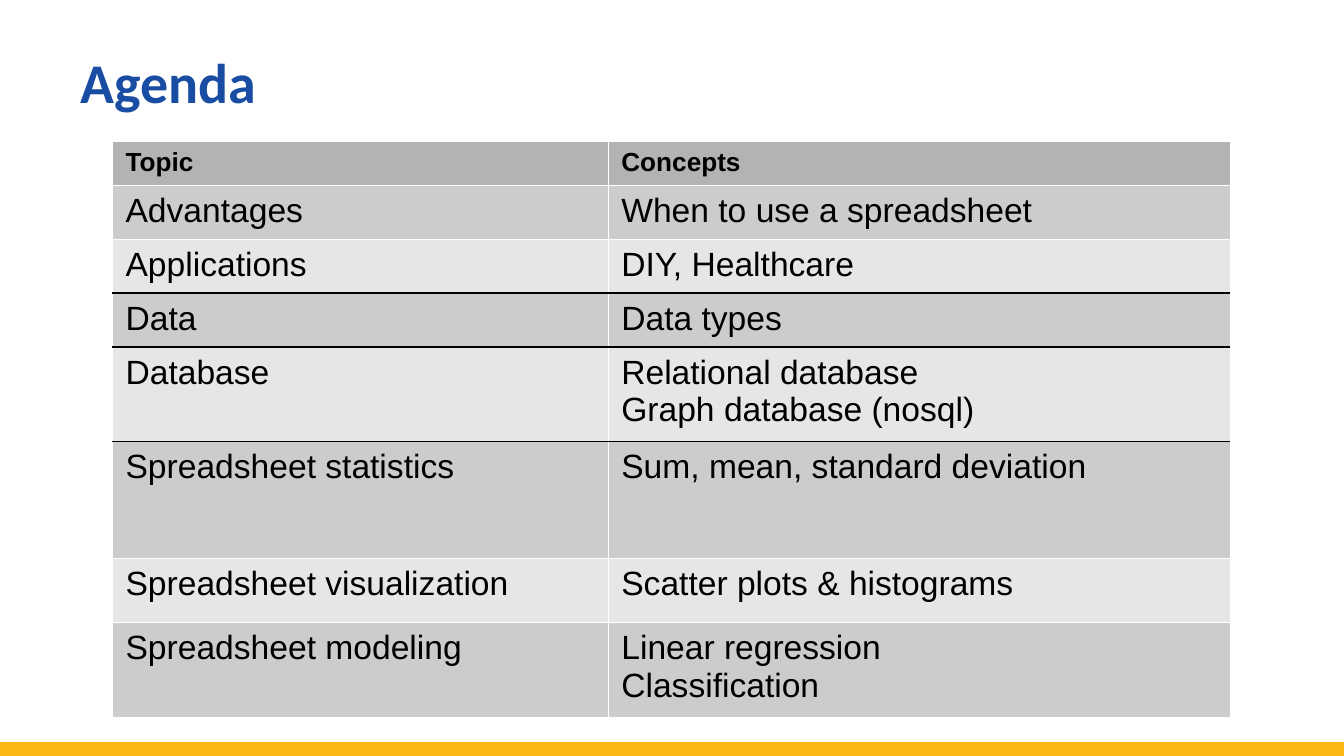
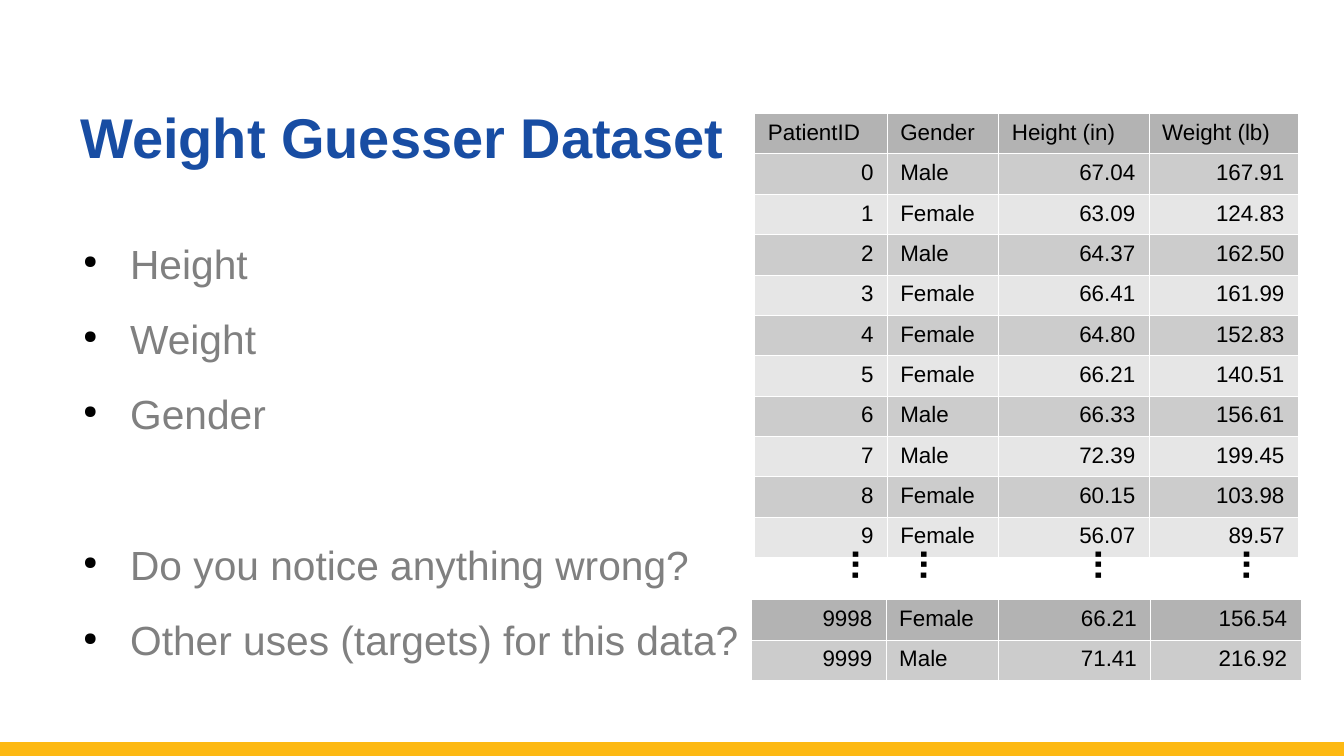
from lxml.etree import SubElement
from pptx import Presentation
from pptx.dml.color import RGBColor
from pptx.enum.shapes import MSO_CONNECTOR
from pptx.enum.text import MSO_ANCHOR, PP_ALIGN
from pptx.oxml.ns import qn
from pptx.util import Cm, Pt

BLUE = RGBColor(0x18, 0x4D, 0xA3)
GOLD = RGBColor(0xFD, 0xB9, 0x13)
GRAY = RGBColor(0x80, 0x80, 0x80)
BLACK = RGBColor(0, 0, 0)
WHITE = RGBColor(0xFF, 0xFF, 0xFF)
HEADER = RGBColor(0xB3, 0xB3, 0xB3)
BANDS = (RGBColor(0xE6, 0xE6, 0xE6), RGBColor(0xCC, 0xCC, 0xCC))

WIDTH, HEIGHT = 25.4, 14.29
FONT = "Arial"
HAIRLINE = 0.06

AGENDA = [
    ("Topic", "Concepts"),
    ("Advantages", "When to use a spreadsheet"),
    ("Applications", "DIY, Healthcare"),
    ("Data", "Data types"),
    ("Database", "Relational database\nGraph database (nosql)"),
    ("Spreadsheet statistics", "Sum, mean, standard deviation"),
    ("Spreadsheet visualization", "Scatter plots & histograms"),
    ("Spreadsheet modeling", "Linear regression\nClassification"),
]
AGENDA_HEIGHTS = (0.82, 0.98, 0.98, 0.98, 1.68, 2.21, 1.22, 1.68)
AGENDA_RULES = {2: 1, 3: 1, 4: 0.5}

FIRST_PATIENTS = [
    ("PatientID", "Gender", "Height (in)", "Weight (lb)"),
    ("0", "Male", "67.04", "167.91"),
    ("1", "Female", "63.09", "124.83"),
    ("2", "Male", "64.37", "162.50"),
    ("3", "Female", "66.41", "161.99"),
    ("4", "Female", "64.80", "152.83"),
    ("5", "Female", "66.21", "140.51"),
    ("6", "Male", "66.33", "156.61"),
    ("7", "Male", "72.39", "199.45"),
    ("8", "Female", "60.15", "103.98"),
    ("9", "Female", "56.07", "89.57"),
]
LAST_PATIENTS = [
    ("9998", "Female", "66.21", "156.54"),
    ("9999", "Male", "71.41", "216.92"),
]
PATIENT_ROW = 0.73

FEATURES = ("Height", "Weight", "Gender")
QUESTIONS = ("Do you notice anything wrong?", "Other uses (targets) for this data?")
ELLIPSIS_LEFTS = (15.88, 17.17, 20.47, 23.27)


def style_runs(paragraph, size, color, bold=False, font=FONT):
    """Give every run of a paragraph the same look."""
    for run in paragraph.runs:
        run.font.name = font
        run.font.size = Pt(size)
        run.font.bold = bold
        run.font.color.rgb = color


def add_text_frame(slide, left, top, width, height):
    """Add a wrapping text box and return its text frame."""
    box = slide.shapes.add_textbox(Cm(left), Cm(top), Cm(width), Cm(height))
    box.text_frame.word_wrap = True
    return box, box.text_frame


def add_titled_slide(deck, title, font, anchor):
    """Add a blank slide with the gold footer line and a title."""
    slide = deck.slides.add_slide(deck.slide_layouts[6])
    footer = slide.shapes.add_connector(
        MSO_CONNECTOR.STRAIGHT, Cm(0), Cm(14.17), Cm(WIDTH), Cm(14.17))
    footer.line.color.rgb = GOLD
    footer.line.width = Pt(8)
    SubElement(footer._element.spPr, qn("a:effectLst"))
    _, frame = add_text_frame(slide, 1.27, 0, 22.86, 3.33)
    frame.vertical_anchor = anchor
    heading = frame.paragraphs[0]
    heading.text = title
    heading.line_spacing = Pt(58)
    style_runs(heading, 30, BLUE, True, font)
    return slide


def set_border(cell, side, color, width):
    """Draw one border of a table cell."""
    edge = SubElement(cell._tc.get_or_add_tcPr(), qn(f"a:ln{side}"), w=str(Pt(width)))
    fill = SubElement(edge, qn("a:solidFill"))
    SubElement(fill, qn("a:srgbClr"), val=str(color))


def add_grid(slide, left, top, widths, heights, rows, size,
             bold_header=False, rules=None):
    """Add a banded table with white borders and black rules below chosen rows."""
    rules = rules or {}
    grid = slide.shapes.add_table(
        len(rows), len(widths), Cm(left), Cm(top),
        Cm(sum(widths)), Cm(sum(heights))).table
    for column, width in zip(grid.columns, widths):
        column.width = Cm(width)
    for r, (texts, height) in enumerate(zip(rows, heights)):
        grid.rows[r].height = Cm(height)
        edges = {"L": None, "R": None, "T": rules.get(r - 1), "B": rules.get(r)}
        for c, text in enumerate(texts):
            cell = grid.cell(r, c)
            for side, rule in edges.items():
                set_border(cell, side, BLACK if rule else WHITE, rule or HAIRLINE)
            cell.fill.solid()
            cell.fill.fore_color.rgb = BANDS[r % 2] if r else HEADER
            cell.text = text
            for paragraph in cell.text_frame.paragraphs:
                header = bold_header and r == 0
                style_runs(paragraph, 14 if header else size, BLACK, header)
                if text[0].isdigit():
                    paragraph.alignment = PP_ALIGN.RIGHT


def add_bullet(paragraph):
    """Give a paragraph a hanging indent and a small black bullet."""
    props = paragraph._p.get_or_add_pPr()
    props.set("marL", str(Cm(1.19)))
    props.set("indent", str(Cm(-0.89)))
    color = SubElement(props, qn("a:buClr"))
    SubElement(color, qn("a:srgbClr"), val=str(BLACK))
    SubElement(props, qn("a:buSzPct"), val="45000")
    SubElement(props, qn("a:buChar"), char="●")


def add_prompts(slide):
    """Add the features, then the questions after a wider gap."""
    _, frame = add_text_frame(slide, 1.27, 3.35, 22.86, 8.28)
    frame.margin_left = frame.margin_right = frame.margin_bottom = 0
    frame.margin_top = Cm(1.16)
    frame.text = "\n".join(FEATURES + QUESTIONS)
    for index, paragraph in enumerate(frame.paragraphs):
        paragraph.space_before = Pt(54.6 if index == len(FEATURES) else 14.2)
        add_bullet(paragraph)
        style_runs(paragraph, 21.8, GRAY)


def add_ellipsis(slide, left):
    """Add dots turned on their side to stand for the skipped rows."""
    box, frame = add_text_frame(slide, left, 10.16, 1.09, 1.04)
    box.rotation = 90.2
    frame.text = "..."
    style_runs(frame.paragraphs[0], 20, BLACK, True)


def add_agenda(deck):
    """Build the agenda slide."""
    slide = add_titled_slide(deck, "Agenda", "Calibri", MSO_ANCHOR.TOP)
    add_grid(slide, 2.12, 2.66, (9.37, 11.76), AGENDA_HEIGHTS, AGENDA, 18,
             bold_header=True, rules=AGENDA_RULES)


def add_dataset(deck):
    """Build the dataset slide."""
    slide = add_titled_slide(deck, "Weight Guesser Dataset", FONT, MSO_ANCHOR.BOTTOM)
    add_prompts(slide)
    add_grid(slide, 14.26, 2.14, (2.5, 2.11, 2.84, 2.82),
             [PATIENT_ROW] * len(FIRST_PATIENTS), FIRST_PATIENTS, 12)
    add_grid(slide, 14.2, 11.33, (2.54, 2.13, 2.87, 2.84),
             [PATIENT_ROW] * len(LAST_PATIENTS), LAST_PATIENTS, 12)
    for left in ELLIPSIS_LEFTS:
        add_ellipsis(slide, left)


def main():
    """Build and save the deck."""
    deck = Presentation()
    deck.slide_width, deck.slide_height = Cm(WIDTH), Cm(HEIGHT)
    add_agenda(deck)
    add_dataset(deck)
    deck.save("out.pptx")


if __name__ == "__main__":
    main()
